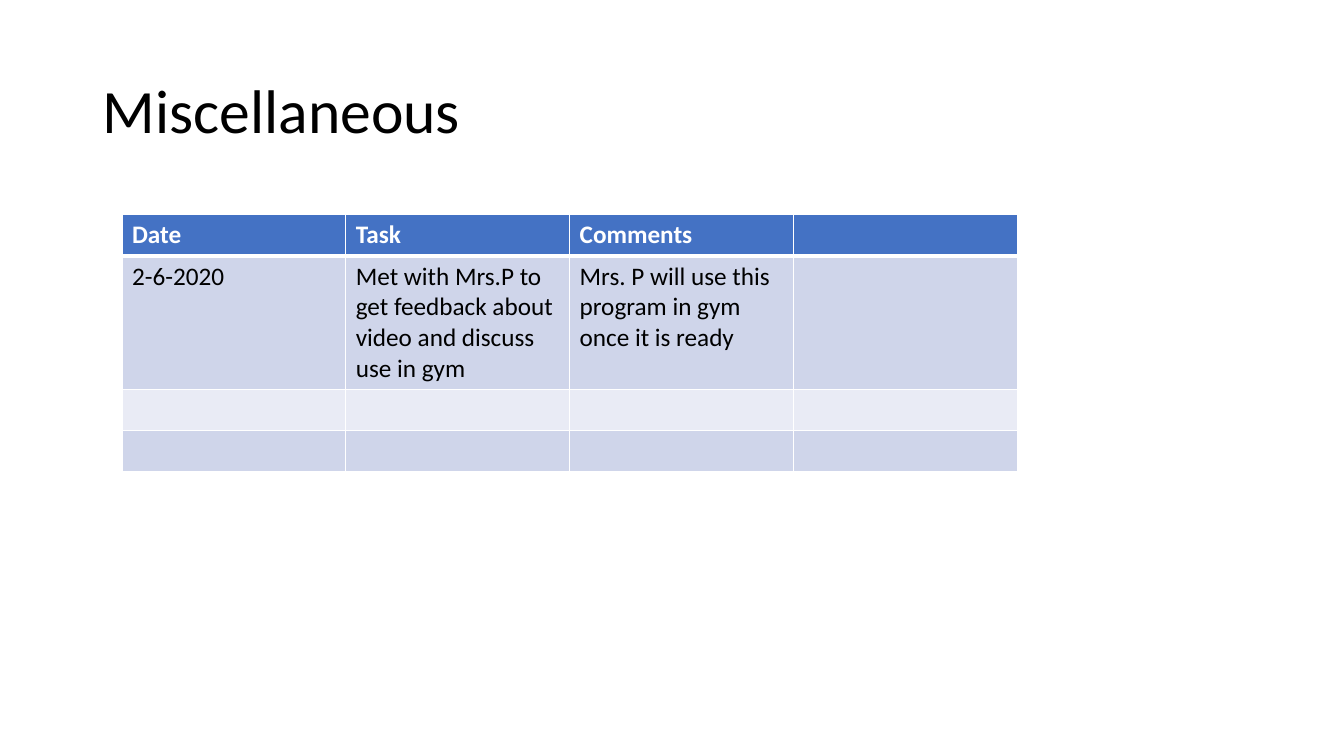
from dataclasses import dataclass
from lxml.etree import SubElement as Sub
from pptx import Presentation
from pptx.dml.color import RGBColor as RGB
from pptx.enum.text import MSO_ANCHOR as Anchor, PP_ALIGN as Align
from pptx.oxml.ns import qn
from pptx.util import Inches, Pt


@dataclass(frozen=True)
class Theme:
    """Colours, type sizes and line widths of the deck."""
    font: str = "Calibri"
    ink: str = "000000"
    paper: str = "FFFFFF"
    head: str = "4472C4"
    bands: tuple = ("CFD5EA", "E9EBF5")
    big: int = 44
    text: int = 18
    thin: int = 1
    thick: int = 3


class Page:
    """Holds the theme and the current slide."""

    def __init__(self, deck, theme):
        """Add a slide with only a title."""
        self.theme = theme
        self.slide = deck.slides.add_slide(deck.slide_layouts[5])

    def style(self, para, size, color, bold=False):
        """Format every run of a paragraph."""
        for run in para.runs:
            font = run.font
            font.name, font.size, font.bold = self.theme.font, Pt(size), bold
            font.color.rgb = RGB.from_string(color)

    def title(self, text, box):
        """Fill and place the title."""
        shape = self.slide.shapes.title
        shape.left, shape.top, shape.width, shape.height = map(Inches, box)
        frame = shape.text_frame
        frame.text = text
        frame.vertical_anchor = Anchor.MIDDLE
        para = frame.paragraphs[0]
        para.alignment, para.line_spacing = Align.LEFT, 0.9
        self.style(para, self.theme.big, self.theme.ink)

    def edge(self, cell, side, width):
        """Draw one border of a cell."""
        props = cell._tc.get_or_add_tcPr()
        line = Sub(props, qn("a:ln" + side), w=str(Pt(width)))
        fill = Sub(line, qn("a:solidFill"))
        Sub(fill, qn("a:srgbClr"), val=self.theme.paper)

    def cell(self, cell, text, row):
        """Write, border and fill one cell."""
        look = self.theme
        top = row == 0
        heavy = {"B": 0, "T": 1}
        for side in "LRTB":
            width = look.thick if heavy.get(side) == row else look.thin
            self.edge(cell, side, width)
        cell.fill.solid()
        shade = look.head if top else look.bands[(row - 1) % 2]
        cell.fill.fore_color.rgb = RGB.from_string(shade)
        if text:
            cell.text_frame.text = text
            color = look.paper if top else look.ink
            self.style(cell.text_frame.paragraphs[0], look.text, color, top)

    def table(self, data, left, top, wide, highs):
        """Add a banded table with equal columns."""
        cols = len(data[0])
        grid = self.slide.shapes.add_table(
            len(data), cols, Inches(left), Inches(top),
            Inches(wide * cols), Inches(sum(highs))).table
        for col in grid.columns:
            col.width = Inches(wide)
        for i, (row, high) in enumerate(zip(data, highs)):
            grid.rows[i].height = Inches(high)
            for j, text in enumerate(row):
                self.cell(grid.cell(i, j), text, i)


def main():
    """Build and save the slide."""
    deck = Presentation()
    deck.slide_width, deck.slide_height = Inches(13.33), Inches(7.5)
    page = Page(deck, Theme())
    page.title("Miscellaneous", (0.92, 0.4, 11.5, 1.45))
    blank = [""] * 4
    tasks = [
        ["Date", "Task", "Comments", ""],
        ["2-6-2020",
         "Met with Mrs.P to get feedback about video and discuss use in gym",
         "Mrs. P will use this program in gym once it is ready", ""],
        blank,
        blank,
    ]
    page.table(tasks, 1.21, 2.13, 2.22, (0.41, 1.32, 0.41, 0.41))
    deck.save("out.pptx")


main()
